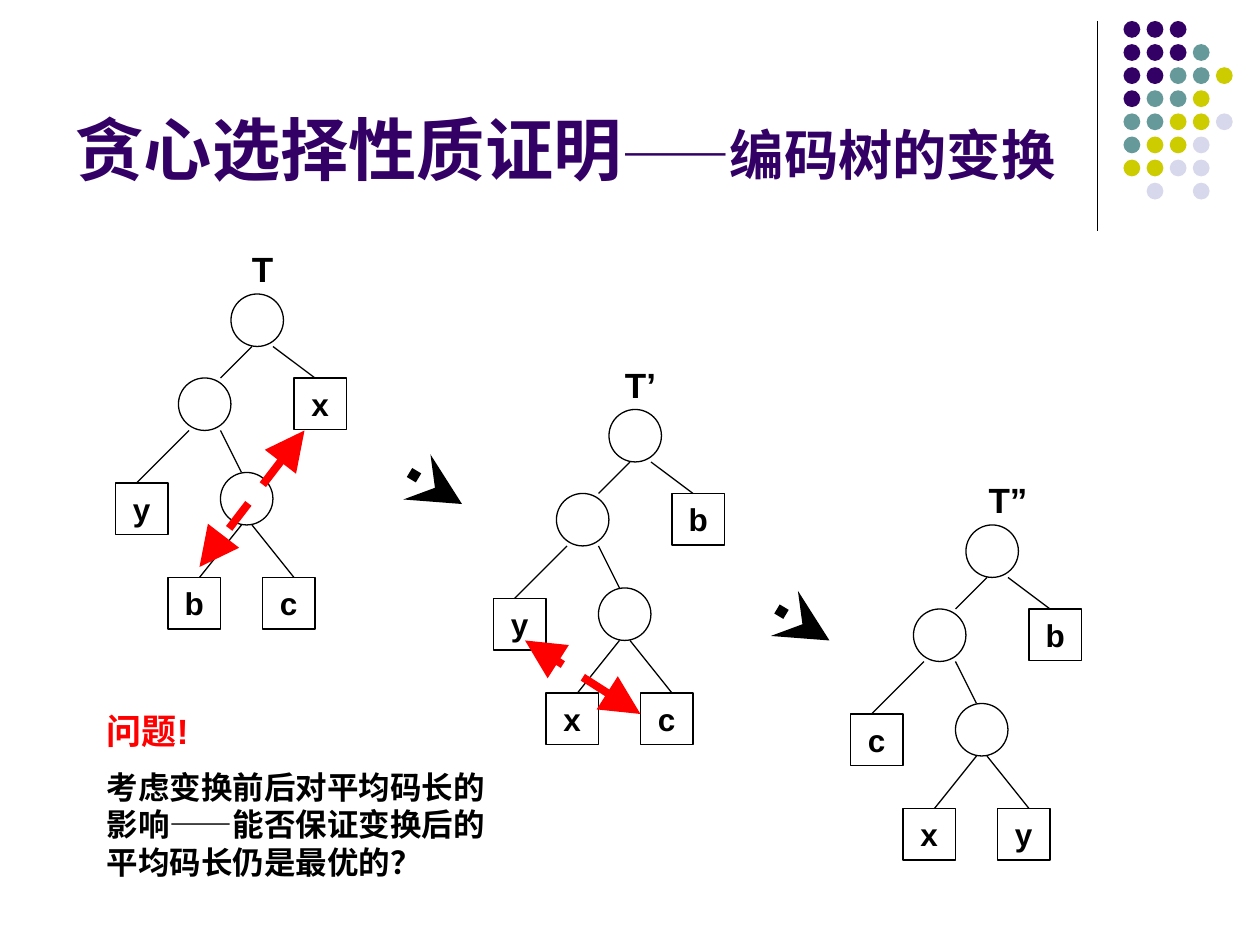
from dataclasses import dataclass

from lxml import etree
from pptx import Presentation
from pptx import util as u
from pptx.dml.color import RGBColor
from pptx.enum import dml, shapes, text
from pptx.oxml.ns import qn

COLORS = {"black": "000000", "red": "FF0000", "purple": "330066",
          "teal": "669999", "olive": "CCCC00", "lilac": "D8D8EC"}
GRID_CM = 2.54 / 12
NODE = 5
LEAF_HEIGHT = 4.9
CIRCLES = [(-5, 8), (0, 0), (-1, 17)]
LEAVES = [(-11, 18), (6, 8), (-6, 27), (3, 27)]
EDGES = [(2, 5, -1, 8), (4, 5, 8, 8), (-4, 13, -9, 18),
         (-1, 13, 1, 17), (1, 22, -3, 27), (2, 22, 6, 27)]
DOT_ROWS = ["ppp", "pppt", "pptto", "ptto", "ttool", "tool", "ooll", " l l"]
DOT_COLORS = {"p": "purple", "t": "teal", "o": "olive", "l": "lilac"}


@dataclass
class Tree:
    label: str
    x: float
    y: float
    leaves: str
    label_width: float = 6


@dataclass
class Arrow:
    start: tuple
    end: tuple
    color: str
    width: float
    dash: dml.MSO_LINE
    ends: dict


TREES = [Tree("T", 22, 28, "yxbc"),
         Tree("T’", 58, 39, "ybxc"),
         Tree("T”", 92, 50, "cbxy", 8)]
STEP = {"tailEnd": "stealth"}
SWAP = {"headEnd": "triangle", "tailEnd": "triangle"}
ARROWS = [Arrow((39, 45), (44, 48), "black", 6, dml.MSO_LINE.ROUND_DOT, STEP),
          Arrow((74, 58), (79, 61), "black", 6, dml.MSO_LINE.ROUND_DOT, STEP),
          Arrow((29, 41), (19, 54), "red", 4.5, dml.MSO_LINE.DASH, SWAP),
          Arrow((61, 68), (50, 61), "red", 4.5, dml.MSO_LINE.DASH, SWAP)]


def grid(*units: float) -> list:
    return [u.Cm(n * GRID_CM) for n in units]


def rgb(name: str) -> RGBColor:
    return RGBColor.from_string(COLORS[name])


def style_run(r, size: float, color: str) -> None:
    r.font.name = "Arial"
    r.font.size = u.Pt(size)
    r.font.bold = True
    r.font.color.rgb = rgb(color)


def centred(tf, words: str, size: float) -> None:
    tf.text = words
    tf.paragraphs[0].alignment = text.PP_ALIGN.CENTER
    style_run(tf.paragraphs[0].runs[0], size, "black")


def add_line(parent, x1, y1, x2, y2, color: str = "black", width: float = 0.75):
    c = parent.add_connector(shapes.MSO_CONNECTOR.STRAIGHT, *grid(x1, y1, x2, y2))
    c.line.color.rgb = rgb(color)
    c.line.width = u.Pt(width)
    etree.SubElement(c._element.spPr, qn("a:effectLst"))
    return c


def add_node(parent, kind, x, y, height):
    sp = parent.add_shape(kind, *grid(x, y, NODE, height))
    sp.shadow.inherit = False
    sp.fill.background()
    sp.line.color.rgb = rgb("black")
    sp.line.width = u.Pt(0.75)
    return sp


def add_tree(s, tree: Tree) -> None:
    g = s.shapes.add_group_shape().shapes
    for dx, dy in CIRCLES:
        add_node(g, shapes.MSO_SHAPE.OVAL, tree.x + dx, tree.y + dy, NODE)
    for (dx, dy), name in zip(LEAVES, tree.leaves):
        sp = add_node(g, shapes.MSO_SHAPE.RECTANGLE, tree.x + dx, tree.y + dy, LEAF_HEIGHT)
        centred(sp.text_frame, name, 18)
    for x1, y1, x2, y2 in EDGES:
        add_line(g, tree.x + x1, tree.y + y1, tree.x + x2, tree.y + y2)
    tb = g.add_textbox(*grid(tree.x, tree.y - 5, tree.label_width, 5.2))
    tb.text_frame.word_wrap = True
    centred(tb.text_frame, tree.label, 20)


def add_arrow(s, arrow: Arrow) -> None:
    c = add_line(s.shapes, *arrow.start, *arrow.end, arrow.color, arrow.width)
    c.line.dash_style = arrow.dash
    ln = c._element.spPr.find(qn("a:ln"))
    for tag, kind in arrow.ends.items():
        etree.SubElement(ln, qn(f"a:{tag}"), type=kind, w="lg", len="lg")


def add_dots(s) -> None:
    g = s.shapes.add_group_shape().shapes
    for row, codes in enumerate(DOT_ROWS):
        for col, code in enumerate(codes):
            if code in DOT_COLORS:
                sp = g.add_shape(shapes.MSO_SHAPE.OVAL,
                                 *grid(107 + 2.2 * col, 2 + 2.2 * row, 1.6, 1.6))
                sp.shadow.inherit = False
                sp.fill.solid()
                sp.fill.fore_color.rgb = rgb(DOT_COLORS[code])
                sp.line.fill.background()


def add_title(s) -> None:
    title = s.shapes.title
    title.left, title.top, title.width, title.height = grid(6, 1.6, 99, 17)
    tf = title.text_frame
    tf.auto_size = text.MSO_AUTO_SIZE.NONE
    tf.vertical_anchor = text.MSO_ANCHOR.BOTTOM
    p = tf.paragraphs[0]
    p.alignment = text.PP_ALIGN.LEFT
    for words, size in [("贪心选择性质证明", 39), ("——编码树的变换", 31)]:
        r = p.add_run()
        r.text = words
        style_run(r, size, "purple")


def add_question(s) -> None:
    tf = s.shapes.add_textbox(*grid(9, 67, 41, 17.9)).text_frame
    tf.word_wrap = True
    tf.text = "问题!\n考虑变换前后对平均码长的影响——能否保证变换后的平均码长仍是最优的？"
    heading, body = tf.paragraphs
    style_run(heading.runs[0], 20, "red")
    style_run(body.runs[0], 18, "black")
    body.space_before = u.Pt(9)


def main() -> None:
    prs = Presentation()
    prs.slide_width, prs.slide_height = u.Cm(25.4), u.Cm(19.05)
    s = prs.slides.add_slide(prs.slide_layouts[5])
    add_line(s.shapes, 104.5, 2, 104.5, 22)
    add_dots(s)
    add_title(s)
    for tree in TREES:
        add_tree(s, tree)
    for arrow in ARROWS:
        add_arrow(s, arrow)
    add_question(s)
    prs.save("out.pptx")


if __name__ == "__main__":
    main()
